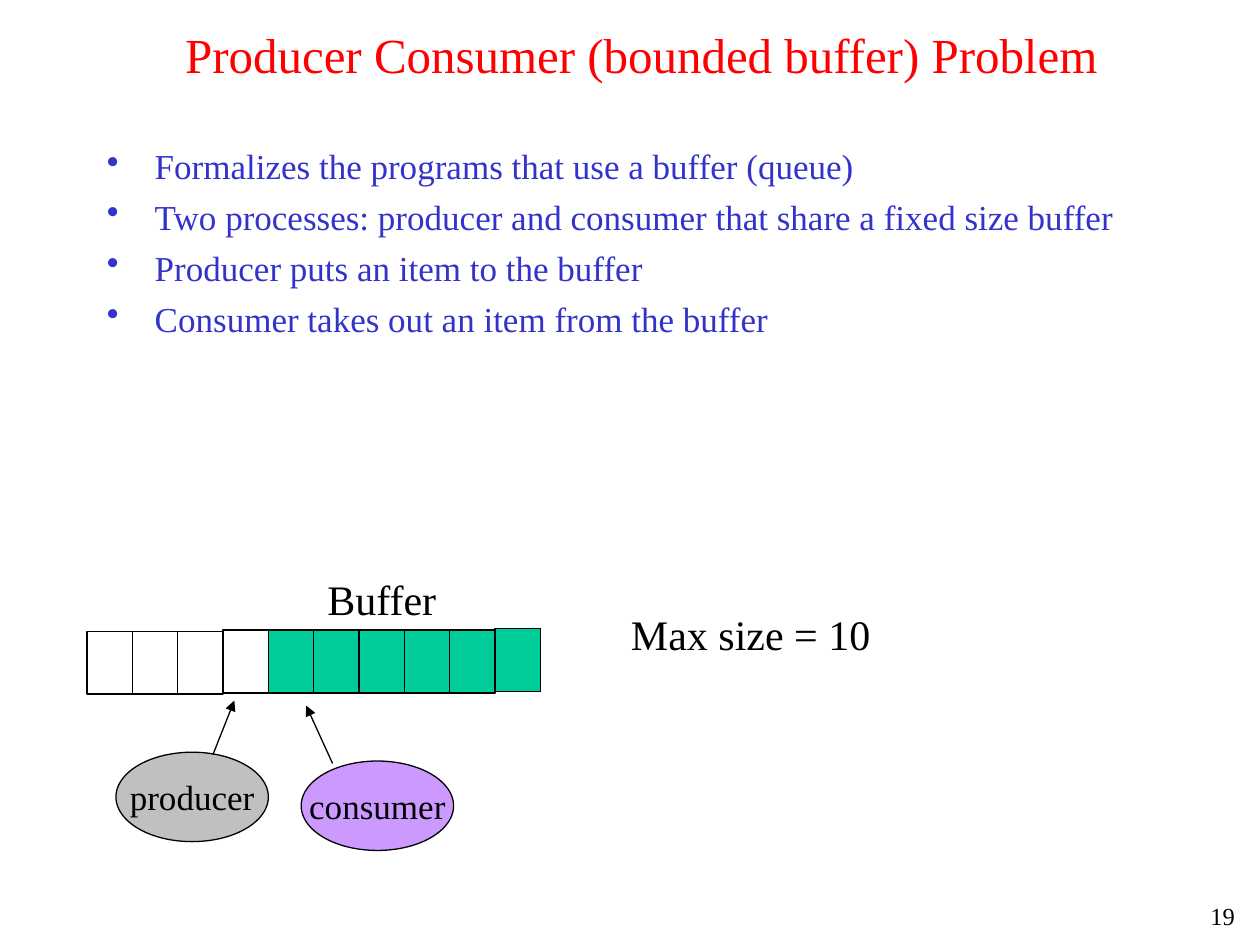
"""Build the bounded-buffer slide: title, bullet list and a ten-slot buffer diagram."""
from dataclasses import dataclass
from typing import Any, NamedTuple

from lxml.etree import SubElement
from pptx import Presentation
from pptx.dml.color import RGBColor as Rgb
from pptx.enum.shapes import MSO_CONNECTOR as Connector, MSO_SHAPE as Preset
from pptx.enum.text import MSO_ANCHOR as Anchor, MSO_AUTO_SIZE as Fit, PP_ALIGN as Align
from pptx.oxml.ns import qn
from pptx.util import Emu, Inches, Pt


@dataclass(frozen=True)
class Theme:
    font: str = "Times New Roman"
    black: Rgb = Rgb(0x00, 0x00, 0x00)
    white: Rgb = Rgb(0xFF, 0xFF, 0xFF)
    red: Rgb = Rgb(0xFF, 0x00, 0x00)
    blue: Rgb = Rgb(0x33, 0x33, 0xCC)
    green: Rgb = Rgb(0x00, 0xCC, 0x99)
    gray: Rgb = Rgb(0xC0, 0xC0, 0xC0)
    violet: Rgb = Rgb(0xCC, 0x99, 0xFF)
    title: Pt = Pt(28)
    label: Pt = Pt(24)
    body: Pt = Pt(20)
    number: Pt = Pt(14)
    line: Pt = Pt(0.75)
    bullet_gap: Pt = Pt(5)
    bullet_indent: Emu = Inches(0.38)


class Area(NamedTuple):
    column: float
    row: float
    columns: float
    rows: float


class Label(NamedTuple):
    area: Area
    lines: list[str]
    size: Pt
    color: Rgb
    align: Align = Align.LEFT
    anchor: Anchor = Anchor.TOP
    wrap: bool = True
    bullet: bool = False


class Process(NamedTuple):
    area: Area
    name: str
    fill: Rgb


class Arrow(NamedTuple):
    start: tuple[float, float]
    end: tuple[float, float]


class SlotRun(NamedTuple):
    count: int
    row: float
    fill: Rgb


THEME = Theme()
WIDTH, HEIGHT = Inches(10), Inches(7.5)
COLUMNS, ROWS = 100, 75
SLOT_START, SLOT_WIDTH, SLOT_HEIGHT = 6.9, 3.6, 5

LABELS = [
    Label(Area(8.4, 0, 85, 8.6), ["Producer Consumer (bounded buffer) Problem"],
          THEME.title, THEME.red, Align.CENTER, Anchor.MIDDLE),
    Label(Area(7.5, 11, 85, 34.4), [
        "Formalizes the programs that use a buffer (queue)",
        "Two processes: producer and consumer that share a fixed size buffer",
        "Producer puts an item to the buffer",
        "Consumer takes out an item from the buffer",
    ], THEME.body, THEME.blue, bullet=True),
    Label(Area(25, 45, 10.7, 5), ["Buffer"], THEME.label, THEME.black, wrap=False),
    Label(Area(49.1, 47.8, 21, 5), ["Max size = 10"], THEME.label, THEME.black, wrap=False),
    Label(Area(93.6, 71, 5.4, 4), ["19"], THEME.number, THEME.black, Align.RIGHT),
]
SLOT_RUNS = [
    SlotRun(3, 50.1, THEME.white),
    SlotRun(1, 50, THEME.white),
    SlotRun(5, 50, THEME.green),
    SlotRun(1, 49.9, THEME.green),
]
PROCESSES = [
    Process(Area(9.2, 59.7, 12.1, 7.1), "producer", THEME.gray),
    Process(Area(23.9, 60.4, 12.1, 7.1), "consumer", THEME.violet),
]
ARROWS = [
    Arrow((16.9, 59.9), (18.6, 55.6)),
    Arrow((26.4, 60.6), (24.3, 56)),
]


def across(columns: float) -> Emu:
    """Turn grid columns into a length."""
    return Emu(round(WIDTH * columns / COLUMNS))


def down(rows: float) -> Emu:
    """Turn grid rows into a length."""
    return Emu(round(HEIGHT * rows / ROWS))


def place(area: Area) -> tuple[Emu, Emu, Emu, Emu]:
    """Turn a grid area into left, top, width and height."""
    return across(area.column), down(area.row), across(area.columns), down(area.rows)


def assign(target: Any, values: dict[str, Any]) -> None:
    """Set each named attribute on the target."""
    for name, value in values.items():
        setattr(target, name, value)


def add_bullet(para: Any) -> None:
    """Give a paragraph a hanging round bullet."""
    properties = para._p.get_or_add_pPr()
    properties.set("marL", str(THEME.bullet_indent))
    properties.set("indent", str(-THEME.bullet_indent))
    SubElement(properties, qn("a:buChar"), char="•")


def write(box: Any, label: Label) -> None:
    """Write the lines of a label into a shape."""
    frame = box.text_frame
    assign(frame, {"word_wrap": label.wrap, "vertical_anchor": label.anchor})
    for index, line in enumerate(label.lines):
        para = frame.add_paragraph() if index else frame.paragraphs[0]
        if label.bullet:
            add_bullet(para)
        assign(para, {"alignment": label.align,
                      "space_before": THEME.bullet_gap if index else Pt(0)})
        span = para.add_run()
        span.text = line
        assign(span.font, {"name": THEME.font, "size": label.size})
        span.font.color.rgb = label.color


def draw_label(page: Any, label: Label) -> None:
    """Draw a text box."""
    box = page.shapes.add_textbox(*place(label.area))
    write(box, label)
    if not label.wrap:
        box.text_frame.auto_size = Fit.SHAPE_TO_FIT_TEXT


def draw_shape(page: Any, preset: Preset, area: Area, fill: Rgb) -> Any:
    """Draw a filled, outlined preset shape."""
    box = page.shapes.add_shape(preset, *place(area))
    box.shadow.inherit = False
    box.fill.solid()
    box.fill.fore_color.rgb = fill
    box.line.color.rgb = THEME.black
    box.line.width = THEME.line
    return box


def draw_buffer(page: Any, runs: list[SlotRun]) -> None:
    """Draw the buffer slots side by side."""
    slots = [run for run in runs for _ in range(run.count)]
    for index, slot in enumerate(slots):
        column = SLOT_START + index * SLOT_WIDTH
        area = Area(column, slot.row, SLOT_WIDTH, SLOT_HEIGHT)
        draw_shape(page, Preset.RECTANGLE, area, slot.fill)


def draw_process(page: Any, process: Process) -> None:
    """Draw a named process as an ellipse."""
    box = draw_shape(page, Preset.OVAL, process.area, process.fill)
    write(box, Label(process.area, [process.name], THEME.body, THEME.black,
                     Align.CENTER, Anchor.MIDDLE, wrap=False))


def draw_arrow(page: Any, arrow: Arrow) -> None:
    """Draw a straight line with a triangle at its end."""
    ends = [length for column, row in arrow for length in (across(column), down(row))]
    connector = page.shapes.add_connector(Connector.STRAIGHT, *ends)
    connector.line.color.rgb = THEME.black
    connector.line.width = THEME.line
    properties = connector.element.spPr
    SubElement(properties.find(qn("a:ln")), qn("a:tailEnd"), type="triangle")
    SubElement(properties, qn("a:effectLst"))


def main() -> None:
    """Build and save the deck."""
    deck = Presentation()
    assign(deck, {"slide_width": WIDTH, "slide_height": HEIGHT})
    page = deck.slides.add_slide(deck.slide_layouts[6])
    draw_buffer(page, SLOT_RUNS)
    for draw, items in ((draw_label, LABELS), (draw_process, PROCESSES), (draw_arrow, ARROWS)):
        for item in items:
            draw(page, item)
    deck.save("out.pptx")


if __name__ == "__main__":
    main()
